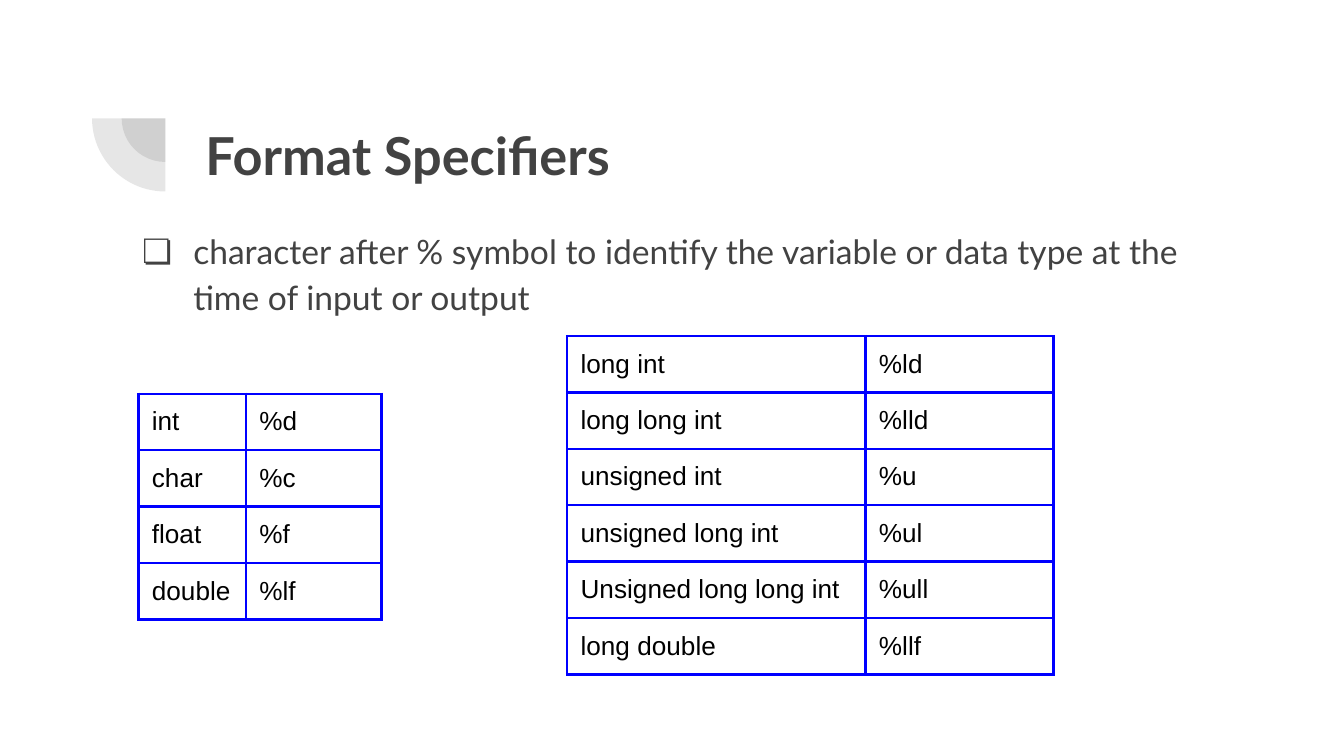
"""Build the Format Specifiers slide with its two tables of C types."""
from lxml import etree
from pptx import Presentation
from pptx import util as u
from pptx.dml.color import RGBColor
from pptx.enum import shapes, text
from pptx.oxml import ns

TITLE = "Format Specifiers"
POINT = ("character after % symbol to identify the variable or data type "
         "at the time of input or output")
TABLES = [
    {"at": (1.03, 2.93), "columns": (0.8, 1.01),
     "rows": [("int", "%d"), ("char", "%c"), ("float", "%f"), ("double", "%lf")]},
    {"at": (4.22, 2.5), "columns": (2.22, 1.4),
     "rows": [("long int", "%ld"), ("long long int", "%lld"),
              ("unsigned int", "%u"), ("unsigned long int", "%ul"),
              ("Unsigned long long int", "%ull"), ("long double", "%llf")]},
]
FAN = {"corner": (1.23, 0.88), "diameters": (0.65, 1.09)}
ROW_HEIGHT = 0.42
INSET = 0.1
CELL_BOTTOM = 0.08
THEME = {
    "ink": "424242", "cell": "000000", "border": "0000FF",
    "heading_font": "Lato", "cell_font": "Arial",
    "title_size": 28, "body_size": 18, "cell_size": 14,
    "border_width": 1.5, "fan_alpha": 13,
}


def add_child(parent, tag, **attributes):
    child = etree.SubElement(parent, ns.qn(tag))
    for name, value in attributes.items():
        child.set(name, str(value))
    return child


def set_insets(holder, bottom=INSET):
    holder.margin_left = holder.margin_right = holder.margin_top = u.Inches(INSET)
    holder.margin_bottom = u.Inches(bottom)


def write(frame, words, *, font, size, color, bold=False, spacing=None):
    para = frame.paragraphs[0]
    if spacing:
        para.line_spacing = spacing
    span = para.add_run()
    span.text = words
    span.font.name = font
    span.font.size = u.Pt(size)
    span.font.bold = bold
    span.font.color.rgb = RGBColor.from_string(color)
    return para


def add_text(page, words, left, top, width, height, **style):
    box = page.shapes.add_textbox(*map(u.Inches, (left, top, width, height)))
    frame = box.text_frame
    frame.word_wrap = True
    frame.vertical_anchor = text.MSO_ANCHOR.TOP
    set_insets(frame)
    return write(frame, words, **style)


def add_bullet(para, symbol, indent):
    properties = para._p.get_or_add_pPr()
    properties.set("marL", str(u.Inches(indent)))
    properties.set("indent", str(-u.Inches(indent)))
    add_child(add_child(properties, "a:buClr"), "a:srgbClr", val=THEME["ink"])
    add_child(properties, "a:buSzPts", val=THEME["body_size"] * 100)
    add_child(properties, "a:buFont", typeface=THEME["heading_font"])
    add_child(properties, "a:buChar", char=symbol)


def add_quarter(page, diameter):
    left, top = (center - diameter / 2 for center in FAN["corner"])
    quarter = page.shapes.add_shape(
        shapes.MSO_SHAPE.PIE, *map(u.Inches, (left, top, diameter, diameter)))
    quarter.adjustments[0], quarter.adjustments[1] = 108, 162
    quarter.rotation = 270
    quarter.shadow.inherit = False
    quarter.line.fill.background()
    quarter.fill.solid()
    quarter.fill.fore_color.rgb = RGBColor.from_string(THEME["ink"])
    color = quarter._element.spPr.find(".//" + ns.qn("a:srgbClr"))
    add_child(color, "a:alpha", val=THEME["fan_alpha"] * 1000)


def add_borders(cell):
    properties = cell._tc.get_or_add_tcPr()
    for side in ("L", "R", "T", "B"):
        line = add_child(properties, f"a:ln{side}", w=u.Pt(THEME["border_width"]))
        add_child(add_child(line, "a:solidFill"), "a:srgbClr", val=THEME["border"])


def add_type_table(page, at, columns, rows):
    size = sum(columns), ROW_HEIGHT * len(rows)
    table = page.shapes.add_table(
        len(rows), len(columns), *map(u.Inches, at + size)).table
    table.first_row = table.horz_banding = False
    for column, width in zip(table.columns, columns):
        column.width = u.Inches(width)
    for row, words in zip(table.rows, rows):
        row.height = u.Inches(ROW_HEIGHT)
        for cell, word in zip(row.cells, words):
            set_insets(cell, CELL_BOTTOM)
            add_borders(cell)
            cell.fill.background()
            write(cell.text_frame, word, font=THEME["cell_font"],
                  size=THEME["cell_size"], color=THEME["cell"])


def main():
    deck = Presentation()
    deck.slide_width = u.Inches(10)
    deck.slide_height = deck.slide_width * 9 // 16
    page = deck.slides.add_slide(deck.slide_layouts[6])
    for diameter in FAN["diameters"]:
        add_quarter(page, diameter)
    heading = {"font": THEME["heading_font"], "color": THEME["ink"]}
    add_text(page, TITLE, 1.43, 0.82, 7.69, 0.6,
             size=THEME["title_size"], bold=True, **heading)
    point = add_text(page, POINT, 0.96, 1.57, 8.28, 3.75,
                     size=THEME["body_size"], spacing=1.15, **heading)
    add_bullet(point, "❏", 0.38)
    for table in TABLES:
        add_type_table(page, **table)
    deck.save("out.pptx")


if __name__ == "__main__":
    main()
